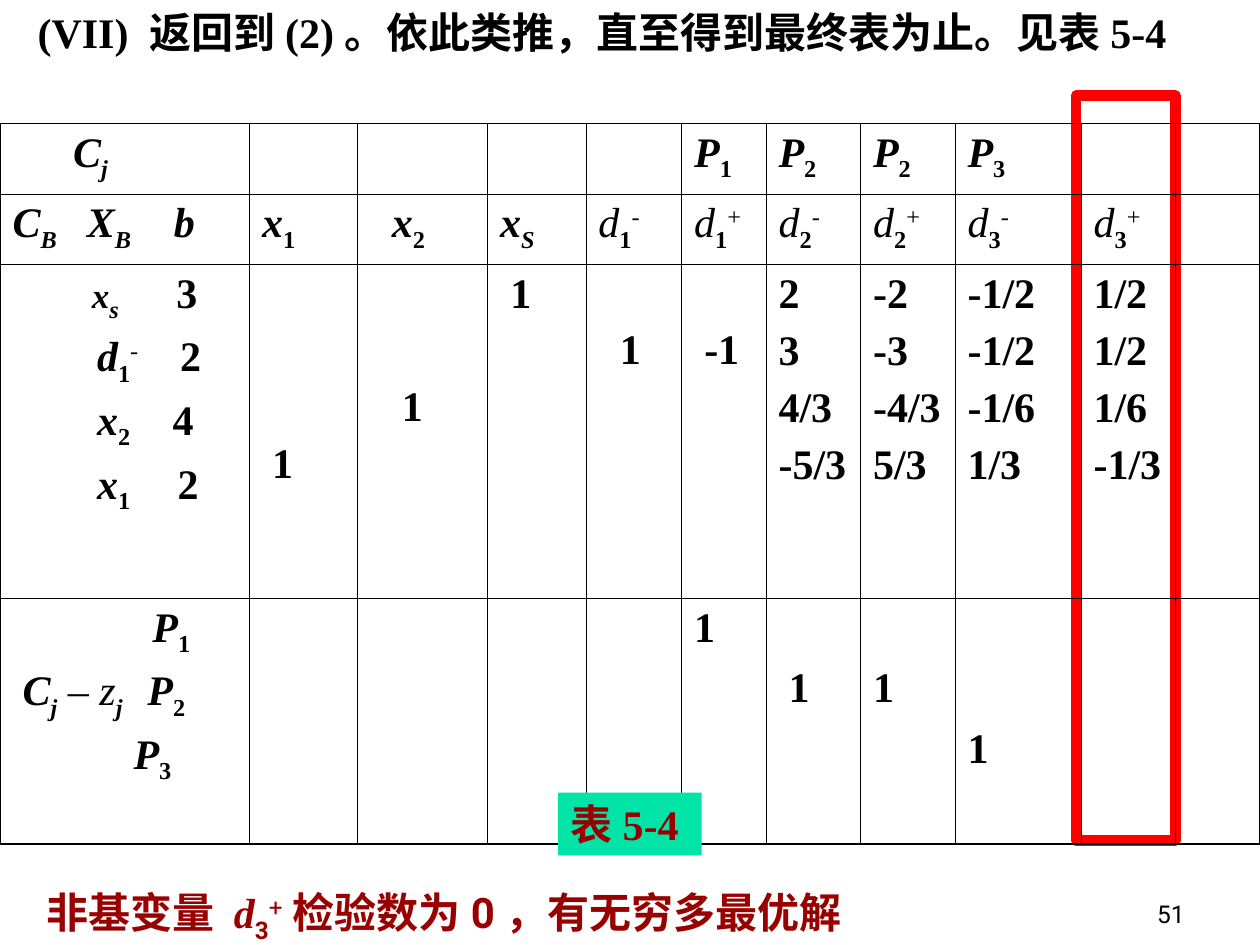
import pptx
import pptx.util
import pptx.dml.color
import pptx.enum.shapes
import pptx.enum.text
import pptx.oxml.ns
import lxml.etree

Inches, Pt = pptx.util.Inches, pptx.util.Pt
RGBColor = pptx.dml.color.RGBColor
qn = pptx.oxml.ns.qn

BLACK = RGBColor(0x00, 0x00, 0x00)
SOFT_BLACK = RGBColor(0x04, 0x00, 0x00)
DARK_RED = RGBColor(0x99, 0x00, 0x00)
RED = RGBColor(0xFF, 0x00, 0x00)
GREEN = RGBColor(0x00, 0xE4, 0xA8)
SERIF, SANS, CJK = "Times New Roman", "Roboto", "Noto Sans CJK SC"
THIN, THICK = 0.45, 1.08
INSET_X, INSET_Y = 0.1, 0.05


def sub(name, index, style="bi", index_style="b_"):
    return [(name, style), (index, index_style)]


def dev(index, sign, style="i"):
    return sub("d", index, style) + [(sign, "^")]


def tab(text="\t"):
    return [(text, "b")]


# Styles: b bold, i italic, _ subscript, ^ superscript, s small
COL_WIDTHS = [1.98, 0.86, 1.03, 0.78, 0.76, 0.67, 0.75, 0.75, 1, 0.75, 0.67]
ROW_HEIGHTS = [0.56, 0.56, 2.65, 1.95]
LINE_STEP = [0, 0, 0.45, 0.48]

LABELS = {
    0: [([0.48], tab() + sub("C", "j", index_style="bi_"))],
    1: [([0.59, 1.28], sub("C", "B", index_style="bi_") + tab()
         + sub("X", "B", index_style="bi_") + tab() + [("b", "bi")])],
    2: [([0.63, 1.3], tab() + sub("x", "s", "bis", "bi_") + tab("\t3")),
        ([0.67, 1.33], tab() + dev("1", "-", "bi") + tab("\t2")),
        ([0.67, 1.27], tab() + sub("x", "2") + tab("\t4")),
        ([0.67, 1.31], tab() + sub("x", "1") + tab("\t2"))],
    3: [([1.11], tab() + sub("P", "1")),
        ([0.08, 1.07], tab() + sub("C", "j", index_style="bi_")
         + sub(" – z", "j", "i", "bi_") + tab() + sub("P", "2")),
        ([0.96], tab() + sub("P", "3"))],
}
HEADS = {
    (0, 5): sub("P", "1"), (0, 6): sub("P", "2"),
    (0, 7): sub("P", "2"), (0, 8): sub("P", "3"),
    (1, 1): sub("x", "1"), (1, 2): sub("x", "2"),
    (1, 3): sub("x", "S", index_style="bi_"),
    (1, 4): dev("1", "-"), (1, 5): dev("1", "+"),
    (1, 6): dev("2", "-"), (1, 7): dev("2", "+"),
    (1, 8): dev("3", "-"), (1, 9): dev("3", "+"),
}
NUMBERS = {
    (2, 1): (3, ["1"]), (2, 2): (2, ["1"]), (2, 3): (0, ["1"]),
    (2, 4): (1, ["1"]), (2, 5): (1, ["-1"]),
    (2, 6): (0, ["2", "3", "4/3", "-5/3"]),
    (2, 7): (0, ["-2", "-3", "-4/3", "5/3"]),
    (2, 8): (0, ["-1/2", "-1/2", "-1/6", "1/3"]),
    (2, 9): (0, ["1/2", "1/2", "1/6", "-1/3"]),
    (3, 5): (0, ["1"]), (3, 6): (1, ["1"]),
    (3, 7): (1, ["1"]), (3, 8): (2, ["1"]),
}
SHIFTS = {(1, 2): 0.17, (2, 1): 0.08, (2, 2): 0.25, (2, 3): 0.08,
          (2, 4): 0.17, (2, 5): 0.08, (3, 6): 0.08}

TITLE = [("(VII) ", "b", SERIF), ("返回到", "b", CJK), ("(2)", "b", SERIF),
         ("。依此类推，直至得到最终表为止。见表", "b", CJK), ("5-4", "b", SERIF)]
CONCLUSION = [("非基变量 ", "b", CJK), ("d", "bi", SERIF), ("3", "b_", SANS),
              ("+", "^", SANS), ("检验数为", "b", CJK), ("0，", "b", SANS),
              ("有无穷多最优解", "b", CJK)]
CAPTION = [("表", "b", CJK), ("5-4", "b", SERIF)]


def add_runs(p, runs, color, size=24):
    for text, style, *face in runs:
        r = p.add_run()
        r.text = text
        f = r.font
        f.size = Pt(20 if "s" in style else size)
        f.bold, f.italic = "b" in style, "i" in style
        f.color.rgb = color
        f.name = face[0] if face else SERIF
        rPr = r._r.get_or_add_rPr()
        lxml.etree.SubElement(rPr, qn("a:ea")).set("typeface", CJK)
        if "_" in style:
            rPr.set("baseline", "-25000")
        elif "^" in style:
            rPr.set("baseline", "30000")


def fill_cell(cell, lines, color):
    tf = cell.text_frame
    for i, (stops, runs) in enumerate(lines):
        p = tf.paragraphs[0] if i == 0 else tf.add_paragraph()
        if stops:
            tabs = lxml.etree.SubElement(p._p.get_or_add_pPr(), qn("a:tabLst"))
            for stop in stops:
                t = lxml.etree.SubElement(tabs, qn("a:tab"))
                t.set("pos", str(Inches(stop)))
                t.set("algn", "l")
        if i:
            p.space_before = Pt(6)
        add_runs(p, runs, color)


def set_borders(cell, edges):
    tcPr = cell._tc.get_or_add_tcPr()
    for side, outer in zip("LRTB", edges):
        ln = lxml.etree.SubElement(tcPr, qn("a:ln" + side))
        ln.set("w", str(Pt(THICK if outer else THIN)))
        fill = lxml.etree.SubElement(ln, qn("a:solidFill"))
        lxml.etree.SubElement(fill, qn("a:srgbClr")).set("val", str(BLACK))
    cell.fill.background()


def add_text(s, box, runs, color, size=24):
    tf = s.shapes.add_textbox(*map(Inches, box)).text_frame
    tf.word_wrap = True
    add_runs(tf.paragraphs[0], runs, color, size)
    return tf


def add_rect(s, box):
    sp = s.shapes.add_shape(pptx.enum.shapes.MSO_SHAPE.RECTANGLE, *map(Inches, box))
    sp.shadow.inherit = False
    return sp


def add_simplex_table(s):
    n_rows, n_cols = len(ROW_HEIGHTS), len(COL_WIDTHS)
    table = s.shapes.add_table(n_rows, n_cols, Inches(0), Inches(0.98),
                               Inches(10), Inches(sum(ROW_HEIGHTS))).table
    table.first_row = table.horz_banding = False
    for col, width in zip(table.columns, COL_WIDTHS):
        col.width = Inches(width)
    for row, height in zip(table.rows, ROW_HEIGHTS):
        row.height = Inches(height)
    for i in range(n_rows):
        for j in range(n_cols):
            cell = table.cell(i, j)
            set_borders(cell, (j == 0, j == n_cols - 1, i == 0, i == n_rows - 1))
            skip, values = NUMBERS.get((i, j), (0, []))
            cell.margin_left = Inches(INSET_X + SHIFTS.get((i, j), 0))
            cell.margin_right = Inches(0.05)
            cell.margin_top = Inches(INSET_Y + skip * LINE_STEP[i])
            cell.margin_bottom = Inches(INSET_Y)
            if j == 0:
                lines = LABELS[i]
            elif (i, j) in HEADS:
                lines = [([], HEADS[i, j])]
            else:
                lines = [([], [(v, "b")]) for v in values]
            soft = i == 0 or (i == 1 and j < 4) or (i == 3 and j == 0)
            fill_cell(cell, lines, SOFT_BLACK if soft else BLACK)


def main():
    prs = pptx.Presentation()
    prs.slide_width, prs.slide_height = Inches(10), Inches(7.5)
    s = prs.slides.add_slide(prs.slide_layouts[6])

    add_text(s, (0.27, 6.99, 9.33, 0.56), CONCLUSION, DARK_RED)
    add_text(s, (0.2, 0, 9.25, 1.25), TITLE, BLACK)

    frame = add_rect(s, (8.54, 0.76, 0.79, 5.91))
    frame.fill.background()
    frame.line.color.rgb = RED
    frame.line.width = Pt(6)

    add_simplex_table(s)

    caption = add_rect(s, (4.43, 6.29, 1.14, 0.5))
    caption.fill.solid()
    caption.fill.fore_color.rgb = GREEN
    caption.line.fill.background()
    tf = caption.text_frame
    tf.vertical_anchor = pptx.enum.text.MSO_ANCHOR.TOP
    tf.paragraphs[0].alignment = pptx.enum.text.PP_ALIGN.LEFT
    add_runs(tf.paragraphs[0], CAPTION, DARK_RED)

    tf = add_text(s, (7.42, 6.92, 2.08, 0.5), [("51", "", SANS)], BLACK, 14)
    tf.vertical_anchor = pptx.enum.text.MSO_ANCHOR.BOTTOM
    tf.paragraphs[0].alignment = pptx.enum.text.PP_ALIGN.RIGHT

    prs.save("out.pptx")


if __name__ == "__main__":
    main()
